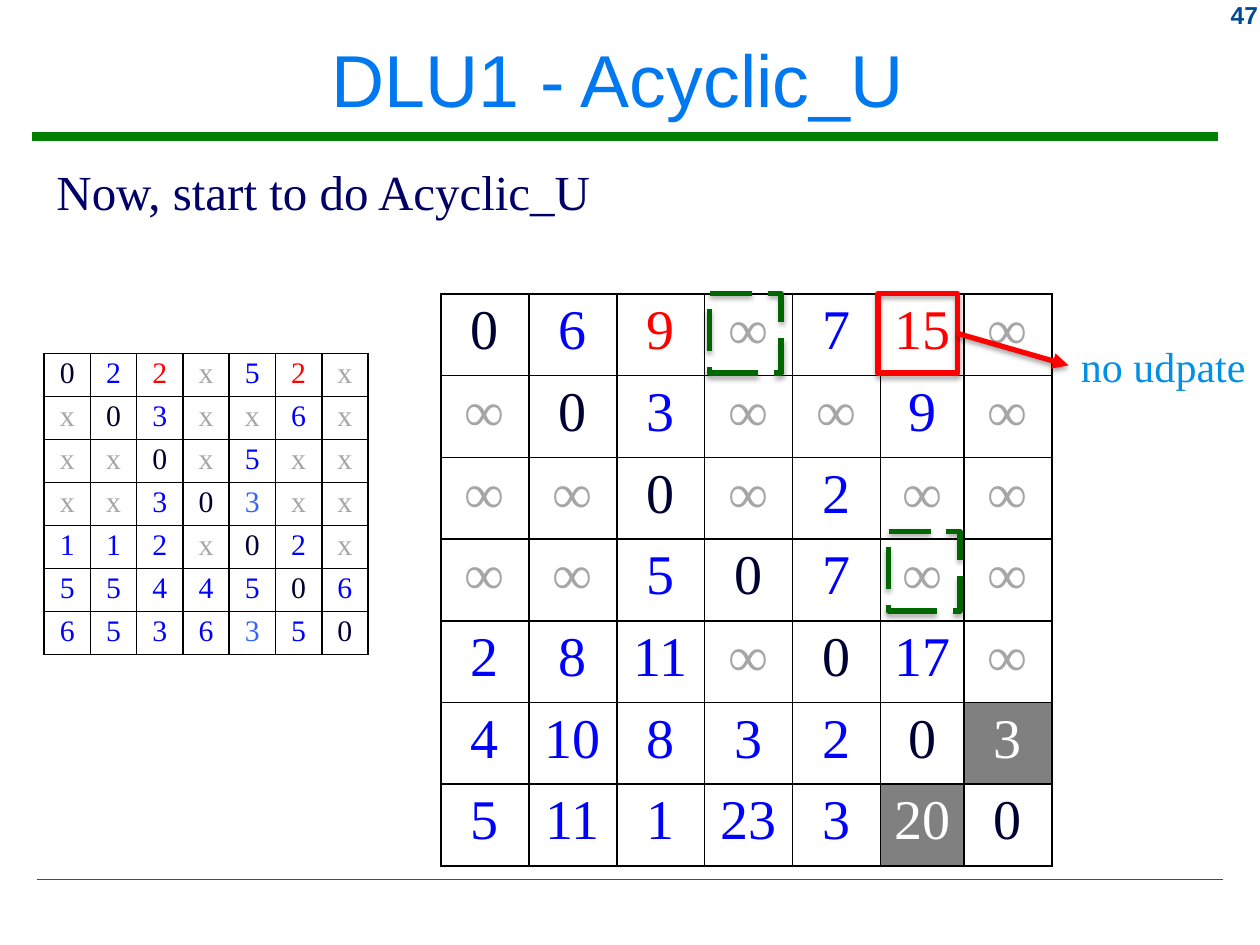
import lxml.etree
import pptx
import pptx.dml.color
import pptx.enum.dml
import pptx.enum.shapes
import pptx.enum.text
import pptx.oxml
import pptx.oxml.ns
import pptx.util

Pt = pptx.util.Pt
RGBColor = pptx.dml.color.RGBColor
ALIGN = pptx.enum.text.PP_ALIGN
ANCHOR = pptx.enum.text.MSO_ANCHOR
STRAIGHT = pptx.enum.shapes.MSO_CONNECTOR.STRAIGHT
NS = pptx.oxml.ns.nsdecls("a")

RULE_GREEN = RGBColor(0x00, 0x80, 0x00)
DASH_GREEN = RGBColor(0x00, 0x66, 0x00)
NUMBER_BLUE = RGBColor(0x00, 0x49, 0x92)
TITLE_BLUE = RGBColor(0x00, 0x78, 0xF0)
NAVY = RGBColor(0x00, 0x00, 0x66)
NOTE_BLUE = RGBColor(0x00, 0x90, 0xE5)
DIAGONAL = RGBColor(0x00, 0x00, 0x33)
BLUE = RGBColor(0x00, 0x00, 0xFF)
LIGHT_BLUE = RGBColor(0x33, 0x66, 0xFF)
RED = RGBColor(0xFF, 0x00, 0x00)
MISSING = RGBColor(0xA6, 0xA6, 0xA6)
WHITE = RGBColor(0xFF, 0xFF, 0xFF)
GRAY = RGBColor(0x80, 0x80, 0x80)

SERIF = "Times New Roman"
SANS = "Arial"


def add_run(paragraph, text, font_name, size, color, bold=False):
    run = paragraph.add_run()
    run.text = text
    run.font.name = font_name
    run.font.size = Pt(size)
    run.font.color.rgb = color
    run.font.bold = bold


def add_shadow(shape, alpha, distance):
    """Give the shape a soft black shadow that falls straight down."""
    shape._element.spPr.append(pptx.oxml.parse_xml(
        f'<a:effectLst {NS}><a:outerShdw blurRad="{Pt(3.1)}" dist="{Pt(distance)}" '
        f'dir="5400000" rotWithShape="0"><a:srgbClr val="000000">'
        f'<a:alpha val="{alpha * 1000}"/></a:srgbClr></a:outerShdw></a:effectLst>'))


deck = pptx.Presentation()
deck.slide_width = Pt(720)
deck.slide_height = Pt(540)
slide = deck.slides.add_slide(deck.slide_layouts[6])
shapes = slide.shapes

# Rules under the title and above the footer
for left, right, y, weight in [(18, 696, 78, 5.25), (21, 699, 502.5, 1)]:
    rule = shapes.add_connector(STRAIGHT, Pt(left), Pt(y), Pt(right), Pt(y))
    rule.line.color.rgb = RULE_GREEN
    rule.line.width = Pt(weight)
    lxml.etree.SubElement(rule._element.spPr, pptx.oxml.ns.qn("a:effectLst"))

# Slide number, title and statement
texts = [
    ("47", (660, -3.6, 66, 24), SANS, 14, NUMBER_BLUE, True, ALIGN.RIGHT, True),
    ("DLU1 - Acyclic_U ", (6, 6.5, 705.6, 76), SANS, 42, TITLE_BLUE, False, ALIGN.CENTER, True),
    ("Now, start to do Acyclic_U", (25.2, 88.6, 324, 41), SERIF, 28, NAVY, False, ALIGN.LEFT, False),
    ("no udpate", (610.6, 190.8, 109.4, 36), SERIF, 24, NOTE_BLUE, False, ALIGN.LEFT, False),
]
for text, place, font_name, size, color, bold, align, wrap in texts:
    frame = shapes.add_textbox(*map(Pt, place)).text_frame
    frame.word_wrap = wrap
    frame.vertical_anchor = ANCHOR.MIDDLE if size == 42 else ANCHOR.TOP
    frame.paragraphs[0].alignment = align
    add_run(frame.paragraphs[0], text, font_name, size, color, bold)

# Edge weights on the left, distances on the right
weights = """
0 2 2 x 5 2 x
x 0 3 x x 6 x
x x 0 x 5 x x
x x 3 0 3 x x
1 1 2 x 0 2 x
5 5 4 4 5 0 6
6 5 3 6 3 5 0
"""
distances = """
0 6 9 ∞ 7 15 ∞
∞ 0 3 ∞ ∞ 9 ∞
∞ ∞ 0 ∞ 2 ∞ ∞
∞ ∞ 5 0 7 ∞ ∞
2 8 11 ∞ 0 17 ∞
4 10 8 3 2 0 3
5 11 1 23 3 20 0
"""
text_colors = {"0": DIAGONAL, "x": MISSING, "∞": MISSING}
weight_marks = {(0, 2): RED, (0, 5): RED, (3, 4): LIGHT_BLUE, (6, 4): LIGHT_BLUE}
distance_marks = {(0, 2): RED, (0, 5): RED, (5, 6): WHITE, (6, 5): WHITE}
matrices = [
    (weights, weight_marks, 25.2, 202, [26.45] * 7, 24.6, 17, 1.7),
    (distances, distance_marks, 252, 168, [50.25] * 5 + [47.7, 50.25], 46.7, 32, 3.3),
]
for values, marks, left, top, widths, row_height, size, inset in matrices:
    table = shapes.add_table(7, 7, Pt(left), Pt(top), Pt(sum(widths)),
                             Pt(7 * row_height)).table
    table.first_row = False
    table.horz_banding = False
    for column, width in zip(table.columns, widths):
        column.width = Pt(width)
    for r, line in enumerate(values.strip().splitlines()):
        table.rows[r].height = Pt(row_height)
        for c, value in enumerate(line.split()):
            cell = table.cell(r, c)
            cell.margin_left = cell.margin_right = Pt(2 * inset)
            cell.margin_top = cell.margin_bottom = Pt(inset)
            for side in ("lnL", "lnR", "lnT", "lnB"):
                cell._tc.get_or_add_tcPr().append(pptx.oxml.parse_xml(
                    f'<a:{side} {NS} w="{Pt(1)}"><a:solidFill>'
                    f'<a:srgbClr val="000000"/></a:solidFill></a:{side}>'))
            color = marks.get((r, c), text_colors.get(value, BLUE))
            cell.fill.solid()
            cell.fill.fore_color.rgb = GRAY if color == WHITE else WHITE
            paragraph = cell.text_frame.paragraphs[0]
            paragraph.alignment = ALIGN.CENTER
            add_run(paragraph, value, SERIF, size, color)

# Frames around the compared cells
frames = [
    (501.8, 167.8, 45.4, RED, None),
    (405.4, 167.8, 41, DASH_GREEN, pptx.enum.dml.MSO_LINE.LONG_DASH),
    (507.6, 303.8, 41, DASH_GREEN, pptx.enum.dml.MSO_LINE.LONG_DASH),
]
for left, top, width, color, dash in frames:
    cell_frame = shapes.add_shape(pptx.enum.shapes.MSO_SHAPE.RECTANGLE,
                                  Pt(left), Pt(top), Pt(width), Pt(45.4))
    cell_frame.fill.background()
    cell_frame.line.color.rgb = color
    cell_frame.line.width = Pt(3)
    cell_frame.line.dash_style = dash
    add_shadow(cell_frame, 35, 1.8)

# Arrow from the red frame to its note
arrow = shapes.add_connector(STRAIGHT, Pt(547.2), Pt(190.6), Pt(610.6), Pt(208.8))
arrow.line.color.rgb = RED
arrow.line.width = Pt(3)
arrow.line._get_or_add_ln().append(pptx.oxml.parse_xml(f'<a:tailEnd {NS} type="triangle"/>'))
add_shadow(arrow, 38, 1.6)

deck.save("out.pptx")
